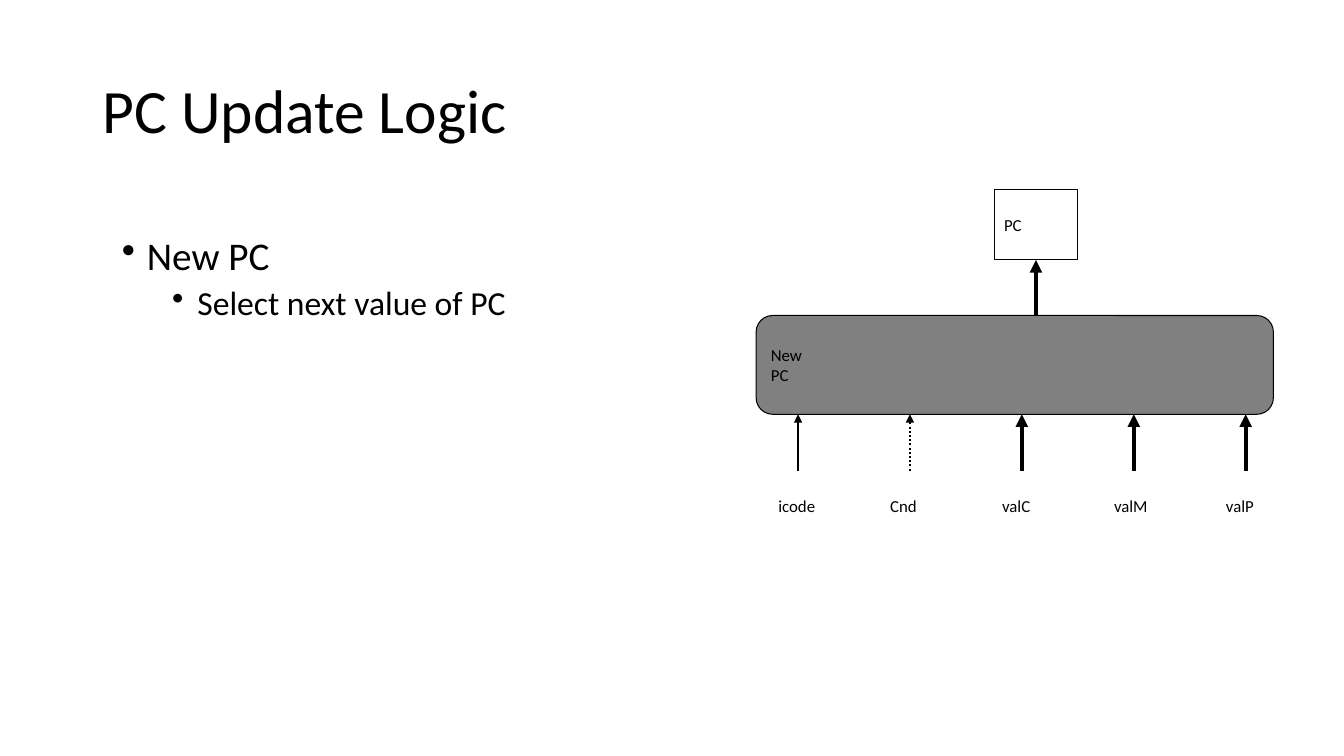
from lxml import etree
from pptx import Presentation, util as u
from pptx.dml.color import RGBColor
from pptx.enum import dml, shapes, text
from pptx.oxml.ns import qn

# Content
TITLE = "PC Update Logic"
BULLETS = [("New PC", 0), ("Select next value of PC", 1)]
LEVELS = [dict(size=28, before=0, indent=0.25), dict(size=24, before=5, indent=0.75)]
SELECTOR = ["New", "PC"]
REGISTER = "PC"
SIGNALS = [  # name, arrow width, arrow dash
    ("icode", 1, None),
    ("Cnd", 1.5, dml.MSO_LINE.ROUND_DOT),
    ("valC", 3, None),
    ("valM", 3, None),
    ("valP", 3, None),
]

BLACK = RGBColor(0, 0, 0)
WHITE = RGBColor(255, 255, 255)
GRAY = RGBColor(128, 128, 128)
FONT = "Calibri"

# Diagram grid
LEFT, PITCH = 7.5, 1.11
NODE_W, NODE_H = 0.83, 0.7
REGISTER_X, REGISTER_Y = 9.86, 1.88
SELECTOR_Y, SELECTOR_W, SELECTOR_H = 3.13, 5.13, 0.98
SELECTOR_BOTTOM = SELECTOR_Y + SELECTOR_H
SIGNAL_Y = 4.67

deck = Presentation()
deck.slide_width, deck.slide_height = u.Inches(13.33), u.Inches(7.5)
slide = deck.slides.add_slide(deck.slide_layouts[6])


def write(paragraph, words, size=12, spacing=None, before=0, indent=None):
    """Fill one paragraph; an indent gives it a hanging bullet."""
    if indent is not None:
        props = paragraph._p.get_or_add_pPr()
        props.set("marL", str(u.Inches(indent)))
        props.set("indent", str(u.Inches(-0.25)))
        etree.SubElement(props, qn("a:buChar")).set("char", "•")
    paragraph.alignment = text.PP_ALIGN.LEFT
    paragraph.space_before = u.Pt(before)
    if spacing:
        paragraph.line_spacing = spacing
    run = paragraph.add_run()
    run.text = words
    run.font.name, run.font.size = FONT, u.Pt(size)
    run.font.color.rgb = BLACK


def text_box(x, y, w, h, anchor):
    frame = slide.shapes.add_textbox(*map(u.Inches, (x, y, w, h))).text_frame
    frame.word_wrap = True
    frame.vertical_anchor = anchor
    return frame


def node(kind, x, y, w, h, lines, fill=None):
    shape = slide.shapes.add_shape(kind, *map(u.Inches, (x, y, w, h)))
    shape.shadow.inherit = False
    if fill is None:
        shape.fill.background()
        shape.line.fill.background()
    else:
        shape.fill.solid()
        shape.fill.fore_color.rgb = fill
        shape.line.color.rgb = BLACK
        shape.line.width = u.Pt(0.75)
    frame = shape.text_frame
    frame.word_wrap = False
    frame.vertical_anchor = text.MSO_ANCHOR.MIDDLE
    for i, words in enumerate(lines):
        write(frame.add_paragraph() if i else frame.paragraphs[0], words)


def up_arrow(x, bottom, top, width, dash=None):
    arrow = slide.shapes.add_connector(
        shapes.MSO_CONNECTOR.STRAIGHT, *map(u.Inches, (x, bottom, x, top)))
    arrow.line.color.rgb = BLACK
    arrow.line.width = u.Pt(width)
    if dash:
        arrow.line.dash_style = dash
    etree.SubElement(arrow.line._get_or_add_ln(), qn("a:tailEnd")).set("type", "triangle")
    etree.SubElement(arrow._element.spPr, qn("a:effectLst"))


# Title and bullets
heading = text_box(0.92, 0.4, 11.5, 1.45, text.MSO_ANCHOR.MIDDLE)
write(heading.paragraphs[0], TITLE, size=44, spacing=0.9)
body = text_box(1.11, 2.3, 5.84, 2.76, text.MSO_ANCHOR.TOP)
for i, (words, level) in enumerate(BULLETS):
    paragraph = body.add_paragraph() if i else body.paragraphs[0]
    paragraph.level = level
    write(paragraph, words, spacing=0.9, **LEVELS[level])

# New PC selector and PC register
node(shapes.MSO_SHAPE.ROUNDED_RECTANGLE, LEFT, SELECTOR_Y, SELECTOR_W, SELECTOR_H,
     SELECTOR, GRAY)
node(shapes.MSO_SHAPE.RECTANGLE, REGISTER_X, REGISTER_Y, NODE_W, NODE_H, [REGISTER], WHITE)
up_arrow(REGISTER_X + NODE_W / 2, SELECTOR_Y, REGISTER_Y + NODE_H, 3)

# Input signals
for column, (name, width, dash) in enumerate(SIGNALS):
    x = LEFT + column * PITCH
    node(shapes.MSO_SHAPE.OVAL, x, SIGNAL_Y, NODE_W, NODE_H, [name])
    up_arrow(x + NODE_W / 2, SIGNAL_Y, SELECTOR_BOTTOM, width, dash)

deck.save("out.pptx")
